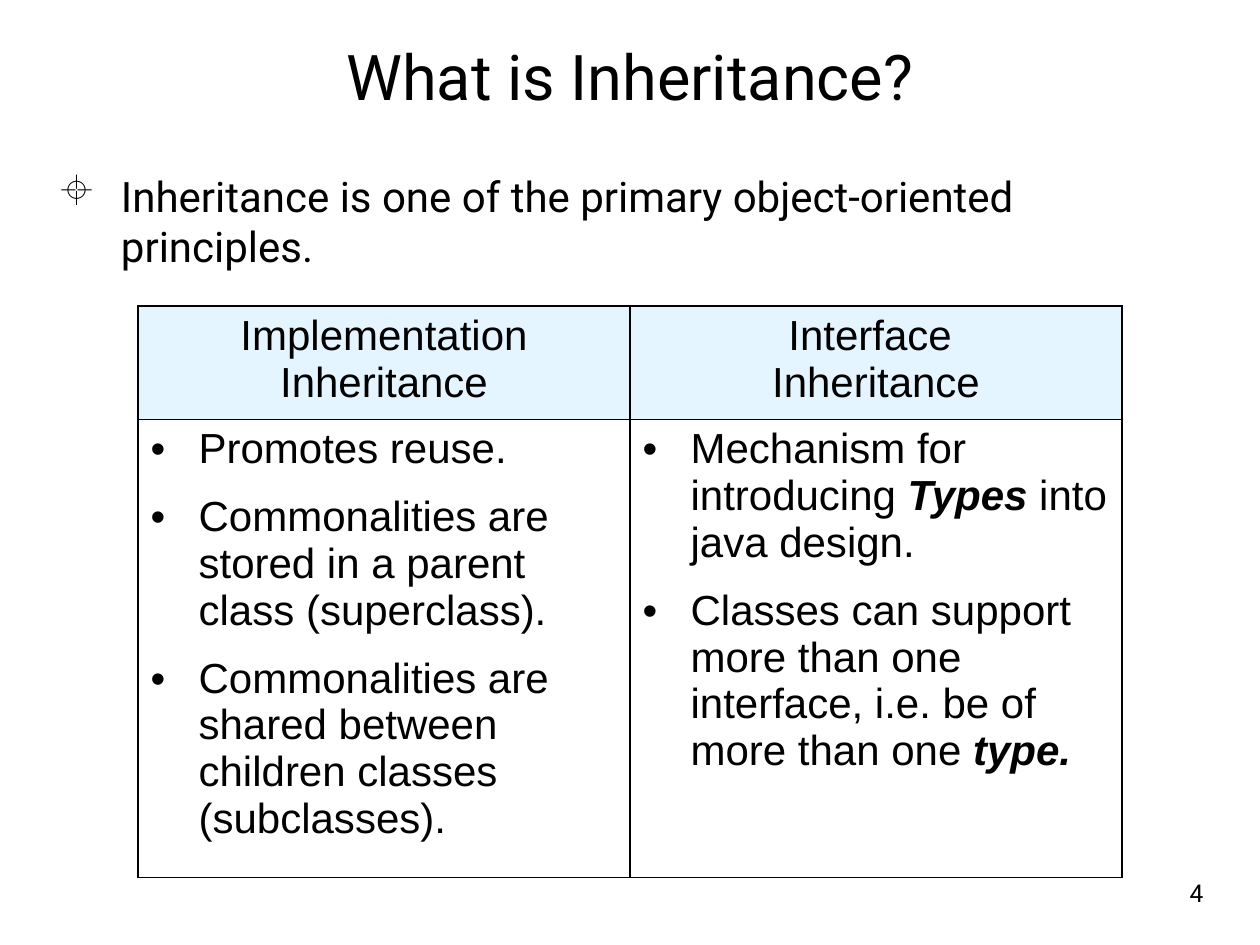
from lxml.etree import SubElement
from pptx import Presentation
from pptx.dml.color import RGBColor
from pptx.enum.text import MSO_ANCHOR, PP_ALIGN
from pptx.oxml import parse_xml
from pptx.oxml.ns import nsdecls, qn
from pptx.util import Emu, Pt

BLACK = RGBColor(0x00, 0x00, 0x00)
HEADER_BLUE = RGBColor(0xE5, 0xF5, 0xFF)
PX_PER_INCH = 126
CROSSHAIR = "±"  # the position mark ⌖ in the Wingdings encoding

HEADERS = [["Implementation Inheritance"], ["Interface ", "Inheritance"]]
# Each point is a list of (text, emphasised) pieces.
POINTS = [
    [
        [("Promotes reuse.", False)],
        [("Commonalities are stored in a parent class (superclass).", False)],
        [("Commonalities are shared between children classes (subclasses).", False)],
    ],
    [
        [("Mechanism for introducing ", False), ("Types", True),
         (" into java design.", False)],
        [("Classes can support more than one interface, i.e. be of more than one ", False),
         ("type.", True)],
    ],
]


def px(length):
    return Emu(round(length * 914400 / PX_PER_INCH))


def style(paragraph, font_name, size, align=PP_ALIGN.LEFT):
    paragraph.alignment = align
    font = paragraph.font
    font.name, font.size = font_name, Pt(size)
    font.color.rgb = BLACK


def set_bullet(paragraph, char, font_name, margin, hanging, before, after=0):
    """Add a hanging bullet; call before style so the XML order holds."""
    paragraph.space_before, paragraph.space_after = Pt(before), Pt(after)
    properties = paragraph._p.get_or_add_pPr()
    properties.set("marL", str(px(margin)))
    properties.set("indent", str(-px(hanging)))
    color = SubElement(properties, qn("a:buClr"))
    SubElement(color, qn("a:srgbClr")).set("val", str(BLACK))
    font = SubElement(properties, qn("a:buFont"))
    font.set("typeface", font_name)
    if font_name == "Wingdings":
        font.set("pitchFamily", "2")
        font.set("charset", "2")
    SubElement(properties, qn("a:buChar")).set("char", char)


def add_frame(slide, box, inset=0, wrap=True):
    frame = slide.shapes.add_textbox(*map(px, box)).text_frame
    frame.word_wrap = wrap
    frame.margin_left = frame.margin_right = px(inset)
    frame.margin_top = frame.margin_bottom = px(inset)
    return frame


def add_title(slide, box):
    frame = add_frame(slide, box, inset=8)
    frame.vertical_anchor = MSO_ANCHOR.MIDDLE
    title = frame.paragraphs[0]
    title.add_run().text = "What is Inheritance?"
    style(title, "Roboto", 36, PP_ALIGN.CENTER)


def add_statement(slide, box):
    frame = add_frame(slide, box)
    frame.margin_right = px(36)
    statement = frame.paragraphs[0]
    statement.add_run().text = (
        "Inheritance is one of the primary object-oriented principles.")
    set_bullet(statement, CROSSHAIR, "Wingdings", 68, 63, before=4)
    style(statement, "Roboto", 24)


def add_page_number(slide, box):
    number = add_frame(slide, box, wrap=False).paragraphs[0]
    number.add_run().text = "4"
    style(number, "Roboto", 14, PP_ALIGN.CENTER)


def set_borders(cell):
    properties = cell._tc.get_or_add_tcPr()
    for position, side in enumerate(("lnL", "lnR", "lnT", "lnB")):
        properties.insert(position, parse_xml(
            f'<a:{side} {nsdecls("a")} w="{Pt(1)}"><a:solidFill>'
            f'<a:srgbClr val="{BLACK}"/></a:solidFill></a:{side}>'))


def cell_paragraphs(cell, count):
    frame = cell.text_frame
    for _ in range(count - 1):
        frame.add_paragraph()
    return frame.paragraphs


def fill_header(cell, lines):
    cell.fill.solid()
    cell.fill.fore_color.rgb = HEADER_BLUE
    for paragraph, line in zip(cell_paragraphs(cell, len(lines)), lines):
        paragraph.add_run().text = line
        style(paragraph, "Arial", 24, PP_ALIGN.CENTER)


def fill_points(cell, points):
    cell.fill.background()
    for paragraph, pieces in zip(cell_paragraphs(cell, len(points)), points):
        for text, emphasised in pieces:
            run = paragraph.add_run()
            run.text = text
            if emphasised:
                run.font.bold = run.font.italic = True
        set_bullet(paragraph, "•", "Arial", 48, 48, before=6, after=6)
        style(paragraph, "Arial", 24)


def add_comparison(slide, box, row_height):
    """Add the table; its rows start at row_height and grow to fit their text."""
    width, height = box[2:]
    comparison = slide.shapes.add_table(2, len(HEADERS), *map(px, box))
    table = comparison.table
    table.first_row = table.horz_banding = False
    for row in table.rows:
        row.height = px(row_height)
    for column, (lines, points) in enumerate(zip(HEADERS, POINTS)):
        table.columns[column].width = px(width // len(HEADERS))
        fill_header(table.cell(0, column), lines)
        fill_points(table.cell(1, column), points)
    for cell in table.iter_cells():
        set_borders(cell)
    comparison.height = px(height)


def main():
    presentation = Presentation()
    presentation.slide_width, presentation.slide_height = px(1260), px(945)
    slide = presentation.slides.add_slide(presentation.slide_layouts[6])
    add_title(slide, (63, 0, 1134, 150))
    add_statement(slide, (53, 170, 1166, 57))
    add_comparison(slide, (138, 306, 984, 571), row_height=52)
    add_page_number(slide, (1175, 878, 43, 42))
    presentation.save("out.pptx")


if __name__ == "__main__":
    main()
